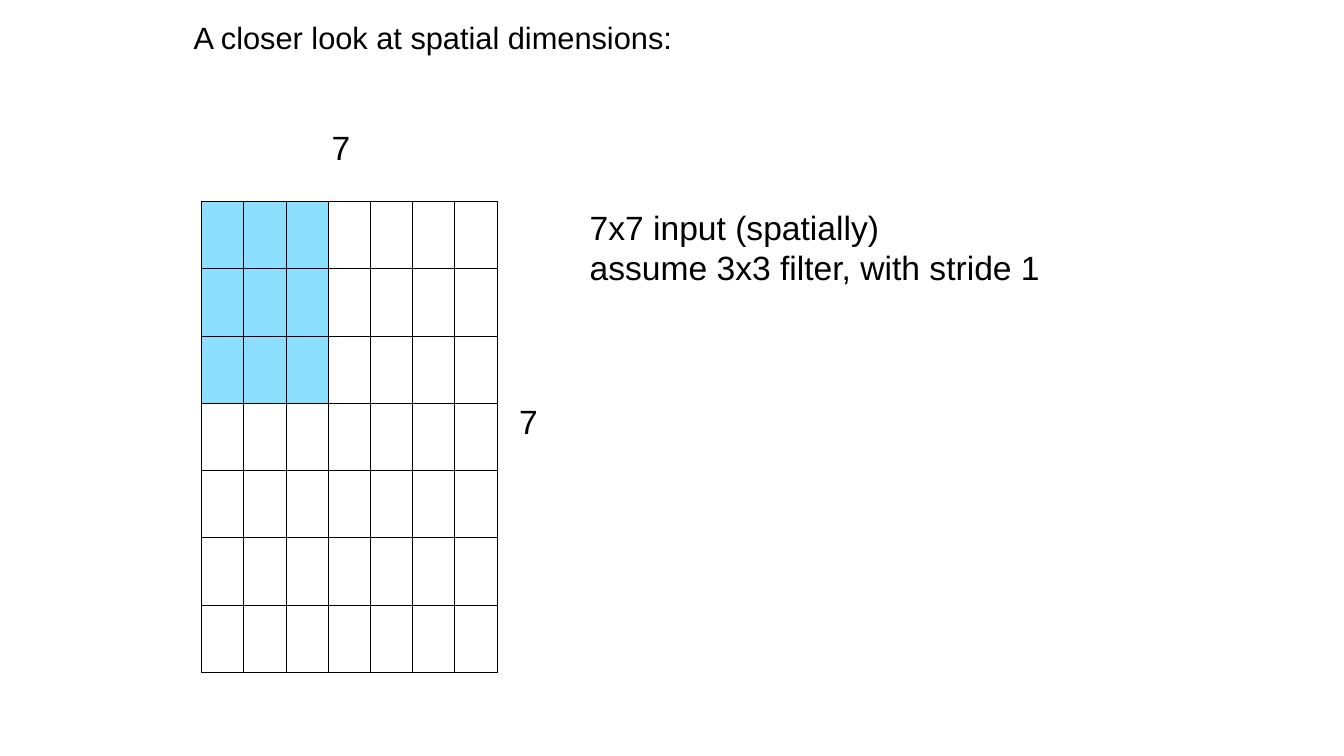
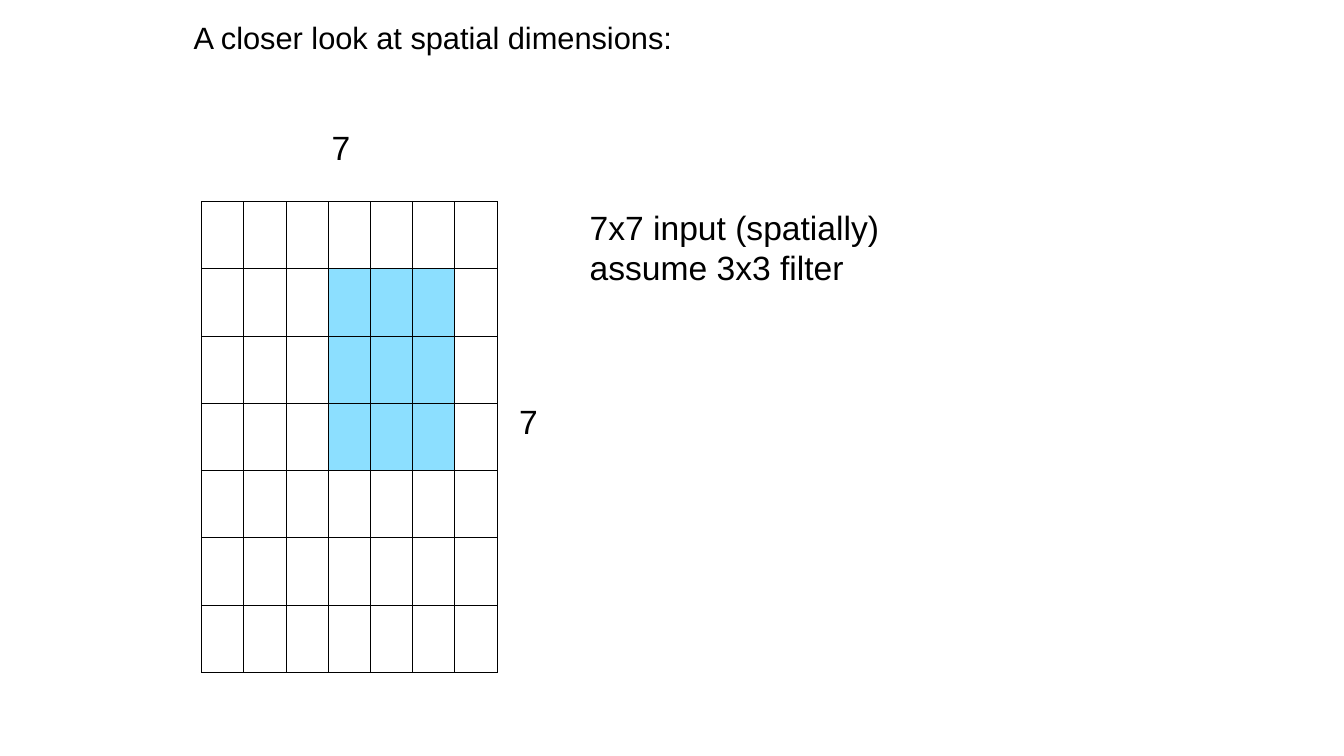
import pptx
import pptx.dml.color
import pptx.enum.text
import pptx.oxml
import pptx.oxml.ns
import pptx.util
from pptx.util import Inches

# Content: text lines and the top-left cell (row, column) of the filter
TITLE = "A closer look at spatial dimensions:"
SLIDES = [
    {"lines": ["7x7 input (spatially)", "assume 3x3 filter, with stride 1"], "filter_at": (0, 0)},
    {"lines": ["7x7 input (spatially)", "assume 3x3 filter"], "filter_at": (1, 3)},
]
GRID_SIZE = 7
FILTER_SIZE = 3

# Shared style and places (left, top, width, height in inches)
FONT = "Arial"
BLACK = pptx.dml.color.RGBColor(0x00, 0x00, 0x00)
WHITE = pptx.dml.color.RGBColor(0xFF, 0xFF, 0xFF)
FILTER_BLUE = pptx.dml.color.RGBColor(0x8C, 0xDF, 0xFF)
BORDER_WIDTH = pptx.util.Pt(0.75)
TITLE_BOX = (1.82, 0.09, 9.16, 0.88)
GRID_BOX = (2, 2, 2.93, 4.67)
WIDTH_LABEL_BOX = (3.19, 1.16, 0.6, 0.67)
HEIGHT_LABEL_BOX = (5.05, 3.88, 0.64, 0.42)
NOTES_BOX = (5.75, 1.95, 5.6, 2.68)


def write_text(shape, box, lines, size=24, color=BLACK):
    """Place a text shape and fill it with one paragraph per line."""
    shape.left, shape.top, shape.width, shape.height = map(Inches, box)
    frame = shape.text_frame
    frame.word_wrap = True
    frame.auto_size = pptx.enum.text.MSO_AUTO_SIZE.NONE
    frame.vertical_anchor = pptx.enum.text.MSO_ANCHOR.TOP
    frame.margin_left = frame.margin_right = Inches(0.1)
    frame.margin_top = frame.margin_bottom = Inches(0.1)
    frame.text = "\n".join(lines)
    for paragraph in frame.paragraphs:
        paragraph.alignment = pptx.enum.text.PP_ALIGN.LEFT
        paragraph.line_spacing = 1.0
        paragraph.space_before = pptx.util.Pt(0)
        paragraph.font.name = FONT
        paragraph.font.size = pptx.util.Pt(size)
        paragraph.font.color.rgb = color


def add_text(slide, box, lines, **text_format):
    write_text(slide.shapes.add_textbox(*map(Inches, box)), box, lines, **text_format)


def style_cell(cell, color):
    """Draw thin borders on all four sides, then fill the cell."""
    properties = cell._tc.get_or_add_tcPr()
    for side in ("lnL", "lnR", "lnT", "lnB"):
        properties.append(pptx.oxml.parse_xml(
            f'<a:{side} {pptx.oxml.ns.nsdecls("a")} w="{BORDER_WIDTH}">'
            f'<a:solidFill><a:srgbClr val="{BLACK}"/></a:solidFill></a:{side}>'))
    cell.fill.solid()
    cell.fill.fore_color.rgb = color


def add_grid(slide, filter_at):
    """Draw the input grid with the filter's cells in blue."""
    left, top, width, height = GRID_BOX
    table = slide.shapes.add_table(GRID_SIZE, GRID_SIZE, *map(Inches, GRID_BOX)).table
    table.first_row = table.horz_banding = False
    filter_row, filter_column = filter_at
    for index in range(GRID_SIZE):
        table.columns[index].width = Inches(width / GRID_SIZE)
        table.rows[index].height = Inches(height / GRID_SIZE)
    for row in range(GRID_SIZE):
        for column in range(GRID_SIZE):
            covered = (0 <= row - filter_row < FILTER_SIZE
                       and 0 <= column - filter_column < FILTER_SIZE)
            style_cell(table.cell(row, column), FILTER_BLUE if covered else WHITE)


def main():
    presentation = pptx.Presentation()
    presentation.slide_width = Inches(13.33)
    presentation.slide_height = Inches(7.5)
    title_only = presentation.slide_layouts[5]

    for content in SLIDES:
        slide = presentation.slides.add_slide(title_only)
        write_text(slide.shapes.title, TITLE_BOX, [TITLE], size=22)
        add_grid(slide, content["filter_at"])
        add_text(slide, WIDTH_LABEL_BOX, [str(GRID_SIZE)])
        add_text(slide, HEIGHT_LABEL_BOX, [str(GRID_SIZE)])
        add_text(slide, NOTES_BOX, content["lines"])

    presentation.save("out.pptx")


if __name__ == "__main__":
    main()
